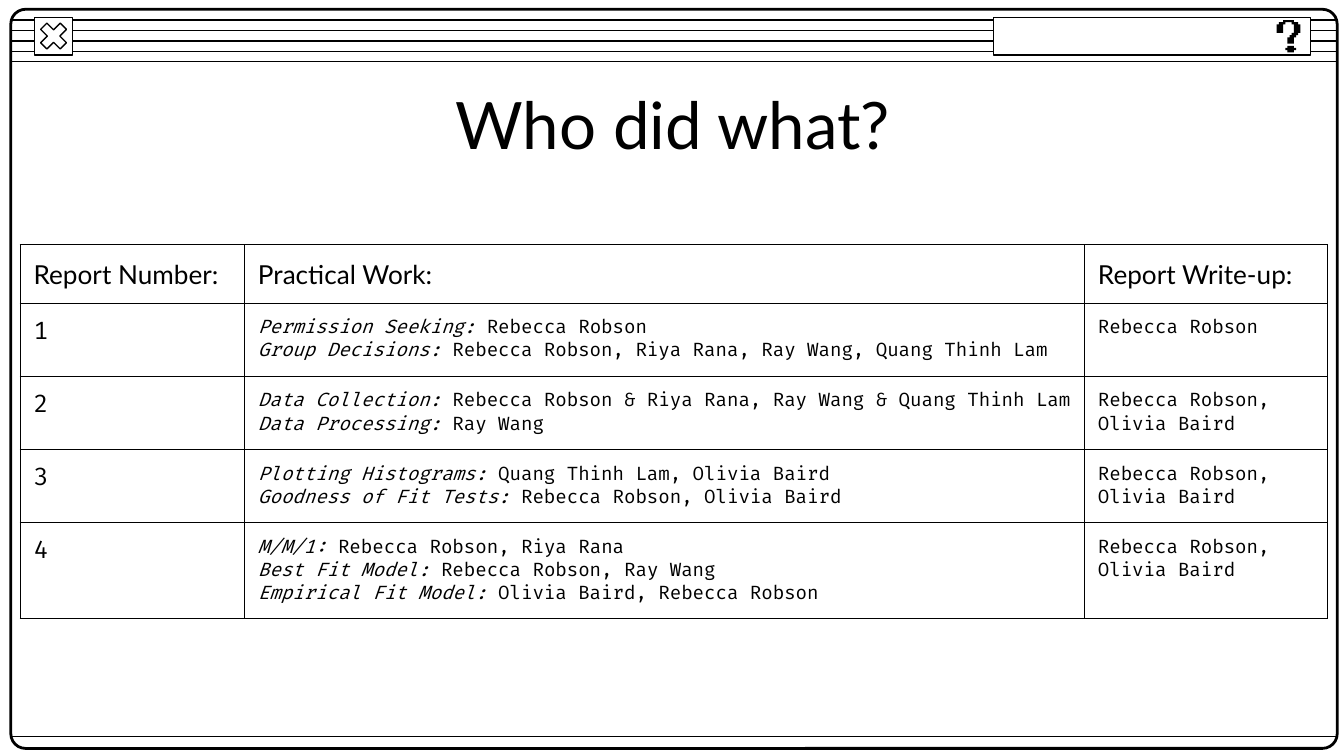
"""Build a retro window slide with a table of who did what."""
from lxml import etree
from pptx import Presentation
from pptx.dml.color import RGBColor
from pptx.enum.shapes import MSO_CONNECTOR, MSO_SHAPE
from pptx.enum.text import MSO_ANCHOR, PP_ALIGN
from pptx.oxml.ns import qn
from pptx.util import Pt

STRAIGHT = MSO_CONNECTOR.STRAIGHT
RECTANGLE = MSO_SHAPE.RECTANGLE
ROUNDED = MSO_SHAPE.ROUNDED_RECTANGLE
CROSS = MSO_SHAPE.MATH_MULTIPLY
MIDDLE = MSO_ANCHOR.MIDDLE
CENTER = PP_ALIGN.CENTER

BLACK = RGBColor(0, 0, 0)
WHITE = RGBColor(255, 255, 255)
HEADING_FONT = "Lato"
BODY_FONT = "Fira Code"
THIN = 0.75
INSET = Pt(7.2)
PIXEL = 1.15

LEFT, RIGHT = 6, 716.4
QUESTION_HOOK = [
    (3, 0), (3, 1), (1, 1), (1, 2), (0, 2), (0, 6), (3, 6), (3, 2), (4, 2),
    (4, 1), (7, 1), (7, 2), (8, 2), (8, 6), (7, 6), (7, 7), (6, 7), (6, 8),
    (5, 8), (5, 11), (8, 11), (8, 8), (9, 8), (9, 7), (10, 7), (10, 6),
    (11, 6), (11, 2), (10, 2), (10, 1), (8, 1), (8, 0),
]
QUESTION_DOT = [
    (5, 12), (5, 13), (4, 13), (4, 14), (5, 14), (5, 15),
    (8, 15), (8, 14), (9, 14), (9, 13), (8, 13), (8, 12),
]

HEADINGS = ["Report Number:", "Practical Work:", "Report Write-up:"]
REPORTS = [
    ([("Permission Seeking:", "Rebecca Robson"),
      ("Group Decisions:", "Rebecca Robson, Riya Rana, Ray Wang, Quang Thinh Lam")],
     ["Rebecca Robson"]),
    ([("Data Collection:", "Rebecca Robson & Riya Rana, Ray Wang & Quang Thinh Lam"),
      ("Data Processing:", "Ray Wang")],
     ["Rebecca Robson, Olivia Baird"]),
    ([("Plotting Histograms:", "Quang Thinh Lam, Olivia Baird"),
      ("Goodness of Fit Tests:", "Rebecca Robson, Olivia Baird")],
     ["Rebecca Robson,", "Olivia Baird"]),
    ([("M/M/1:", "Rebecca Robson, Riya Rana"),
      ("Best Fit Model:", "Rebecca Robson, Ray Wang"),
      ("Empirical Fit Model:", "Olivia Baird, Rebecca Robson")],
     ["Rebecca Robson, Olivia Baird"]),
]


def add_run(paragraph, text, size=10, font=BODY_FONT, italic=False):
    """Append one formatted run to a paragraph."""
    run = paragraph.add_run()
    run.text = text
    run.font.size = Pt(size)
    run.font.name = font
    run.font.bold = False
    run.font.italic = italic
    run.font.color.rgb = BLACK


def write_lines(frame, lines, **style):
    """Write one paragraph per line, each a string or a (label, names) pair."""
    for number, line in enumerate(lines):
        paragraph = frame.add_paragraph() if number else frame.paragraphs[0]
        if isinstance(line, tuple):
            label, names = line
            add_run(paragraph, label + " ", italic=True, **style)
            add_run(paragraph, names, **style)
        else:
            add_run(paragraph, line, **style)


def border_cell(cell):
    """Give a cell thin black borders on all four sides."""
    properties = cell._tc.get_or_add_tcPr()
    for position, side in enumerate(("a:lnL", "a:lnR", "a:lnT", "a:lnB")):
        border = etree.Element(qn(side), w=str(Pt(THIN)))
        fill = etree.SubElement(border, qn("a:solidFill"))
        etree.SubElement(fill, qn("a:srgbClr"), val=str(BLACK))
        properties.insert(position, border)


class WindowSlide:
    """Holds the slide and draws its elements in the window style."""

    def __init__(self, slide):
        self.slide = slide
        self.shapes = slide.shapes
        slide.background.fill.solid()
        slide.background.fill.fore_color.rgb = WHITE

    def rule(self, y):
        """Draw a line across the window."""
        rule = self.shapes.add_connector(STRAIGHT, Pt(LEFT), Pt(y), Pt(RIGHT), Pt(y))
        rule.line.color.rgb = BLACK
        rule.line.width = Pt(THIN)
        etree.SubElement(rule._element.spPr, qn("a:effectLst"))

    def box(self, kind, left, top, width, height, fill=WHITE, weight=THIN, adjust=None):
        """Draw an outlined preset shape."""
        box = self.shapes.add_shape(kind, Pt(left), Pt(top), Pt(width), Pt(height))
        box.shadow.inherit = False
        if fill is None:
            box.fill.background()
        else:
            box.fill.solid()
            box.fill.fore_color.rgb = fill
        box.line.color.rgb = BLACK
        box.line.width = Pt(weight)
        if adjust is not None:
            box.adjustments[0] = adjust

    def pixels(self, left, top, points):
        """Draw a solid black outline on a pixel grid."""
        builder = self.shapes.build_freeform(*points[0], scale=Pt(PIXEL))
        builder.add_line_segments(points[1:], close=True)
        glyph = builder.convert_to_shape(Pt(left), Pt(top))
        glyph.shadow.inherit = False
        glyph.fill.solid()
        glyph.fill.fore_color.rgb = BLACK
        glyph.line.fill.background()

    def title(self, text):
        """Fill and place the title placeholder."""
        title = self.shapes.title
        title.left, title.top, title.width, title.height = Pt(57), Pt(43.2), Pt(607), Pt(45.4)
        frame = title.text_frame
        frame.margin_left = frame.margin_right = INSET
        frame.margin_top = frame.margin_bottom = INSET
        frame.vertical_anchor = MIDDLE
        frame.paragraphs[0].alignment = CENTER
        write_lines(frame, [text], size=35, font=HEADING_FONT)

    def table(self, left, top, widths, row_height, rows):
        """Draw a bordered table from rows of (lines, style) cells."""
        table = self.shapes.add_table(
            len(rows), len(widths), Pt(left), Pt(top),
            Pt(sum(widths)), Pt(row_height * len(rows))).table
        table.first_row = table.horz_banding = False
        for column, width in zip(table.columns, widths):
            column.width = Pt(width)
        for row, contents in zip(table.rows, rows):
            row.height = Pt(row_height)
            for cell, (lines, style) in zip(row.cells, contents):
                cell.margin_left = cell.margin_right = INSET
                cell.margin_top = cell.margin_bottom = INSET
                cell.fill.background()
                border_cell(cell)
                write_lines(cell.text_frame, lines, **style)


def main():
    """Build and save the slide."""
    deck = Presentation()
    deck.slide_width, deck.slide_height = Pt(720), Pt(405)
    window = WindowSlide(deck.slides.add_slide(deck.slide_layouts[5]))

    for step in range(5):
        window.rule(10.8 + 5.55 * step)
    window.box(ROUNDED, 5.8, 5, 710.6, 396, fill=None, weight=1.5, adjust=0.02)
    window.box(RECTANGLE, 18.6, 9.2, 20.2, 20.2)
    window.box(CROSS, 18.6, 9.2, 20.2, 20.2, adjust=0.235)
    window.rule(394.6)
    window.box(RECTANGLE, 532.2, 9.2, 170, 20.2)
    for outline in (QUESTION_DOT, QUESTION_HOOK):
        window.pixels(684, 10.8, outline)

    window.title("Who did what?")
    heading_style = {"size": 14, "font": HEADING_FONT}
    rows = [[([heading], heading_style) for heading in HEADINGS]]
    for number, (work, authors) in enumerate(REPORTS, 1):
        rows.append([([str(number)], {"size": 13}), (work, {}), (authors, {})])
    window.table(10.8, 131.2, [120.2, 450, 130.3], 31.2, rows)
    deck.save("out.pptx")


if __name__ == "__main__":
    main()
